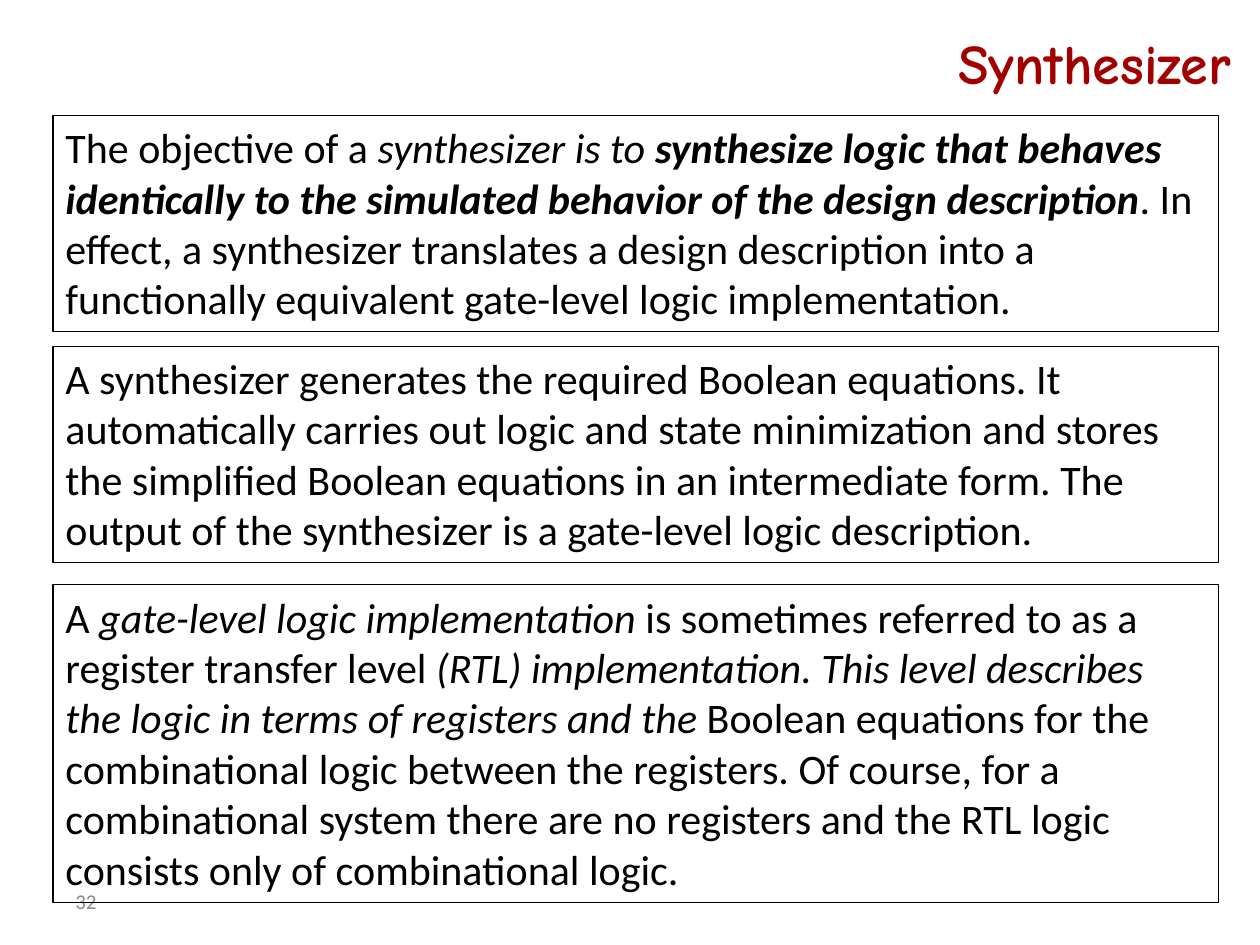
import pptx
import pptx.dml.color
import pptx.enum.shapes
import pptx.enum.text
import pptx.util

Cm = pptx.util.Cm
PP_ALIGN = pptx.enum.text.PP_ALIGN
ANCHOR = pptx.enum.text.MSO_ANCHOR


def colour(hex_code):
    return pptx.dml.color.RGBColor.from_string(hex_code)


class SynthesizerSlide:
    """Holds the text style and the current slide."""

    body_font = "Calibri"
    title_font = "Comic Neue"
    ink = "000000"
    title_red = "A20000"
    number_grey = "8C8C8C"

    def __init__(self, deck):
        self.slide = deck.slides.add_slide(deck.slide_layouts[6])

    def style(self, font, name, size, hex_code, bold=False, italic=False):
        font.name = name
        font.size = pptx.util.Pt(size)
        font.color.rgb = colour(hex_code)
        font.bold = bold
        font.italic = italic

    def label(self, text, left, top, width, height, align, *look):
        box = self.slide.shapes.add_textbox(Cm(left), Cm(top), Cm(width), Cm(height))
        frame = box.text_frame
        frame.word_wrap = True
        frame.vertical_anchor = ANCHOR.MIDDLE
        frame.text = text
        paragraph = frame.paragraphs[0]
        paragraph.alignment = align
        self.style(paragraph.runs[0].font, *look)

    def title(self, text):
        self.label(text, 1.17, 0.36, 23.9, 1.78, PP_ALIGN.RIGHT,
                   self.title_font, 32, self.title_red, True)

    def page_number(self, text):
        self.label(text, 1.27, 17.65, 5.92, 1.02, PP_ALIGN.LEFT,
                   self.body_font, 12, self.number_grey)

    def statement(self, top, height, phrases):
        panel = self.slide.shapes.add_shape(
            pptx.enum.shapes.MSO_SHAPE.RECTANGLE,
            Cm(1.07), Cm(top), Cm(23.5), Cm(height))
        panel.shadow.inherit = False
        panel.fill.background()
        panel.line.color.rgb = colour(self.ink)
        panel.line.width = pptx.util.Pt(0.75)
        frame = panel.text_frame
        frame.word_wrap = True
        frame.auto_size = pptx.enum.text.MSO_AUTO_SIZE.SHAPE_TO_FIT_TEXT
        frame.vertical_anchor = ANCHOR.TOP
        paragraph = frame.paragraphs[0]
        paragraph.alignment = PP_ALIGN.LEFT
        for text, emphasis in phrases:
            run = paragraph.add_run()
            run.text = text
            self.style(run.font, self.body_font, 24, self.ink,
                       "b" in emphasis, "i" in emphasis)


OBJECTIVE = [
    ("The objective of a ", ""),
    ("synthesizer is to ", "i"),
    ("synthesize logic that behaves identically to the simulated behavior "
     "of the design description", "bi"),
    (". In effect, a synthesizer translates a design description into a "
     "functionally equivalent gate-level logic implementation.", ""),
]
EQUATIONS = [
    ("A synthesizer generates the required Boolean equations. It automatically "
     "carries out logic and state minimization and stores the simplified Boolean "
     "equations in an intermediate form. The output of the synthesizer is a "
     "gate-level logic description.", ""),
]
REGISTER_TRANSFER = [
    ("A ", ""),
    ("gate-level logic implementation ", "i"),
    ("is sometimes referred to as a register transfer level ", ""),
    ("(RTL) implementation. This level describes the logic in terms of "
     "registers and the ", "i"),
    ("Boolean equations for the combinational logic between the registers. "
     "Of course, for a combinational system there are no registers and the RTL "
     "logic consists only of combinational logic.", ""),
]


def main():
    deck = pptx.Presentation()
    deck.slide_width = Cm(25.4)
    deck.slide_height = Cm(19.05)
    page = SynthesizerSlide(deck)
    page.page_number("32")
    page.title("Synthesizer")
    page.statement(2.33, 4.36, OBJECTIVE)
    page.statement(6.98, 4.36, EQUATIONS)
    page.statement(11.79, 6.41, REGISTER_TRANSFER)
    deck.save("out.pptx")


if __name__ == "__main__":
    main()
